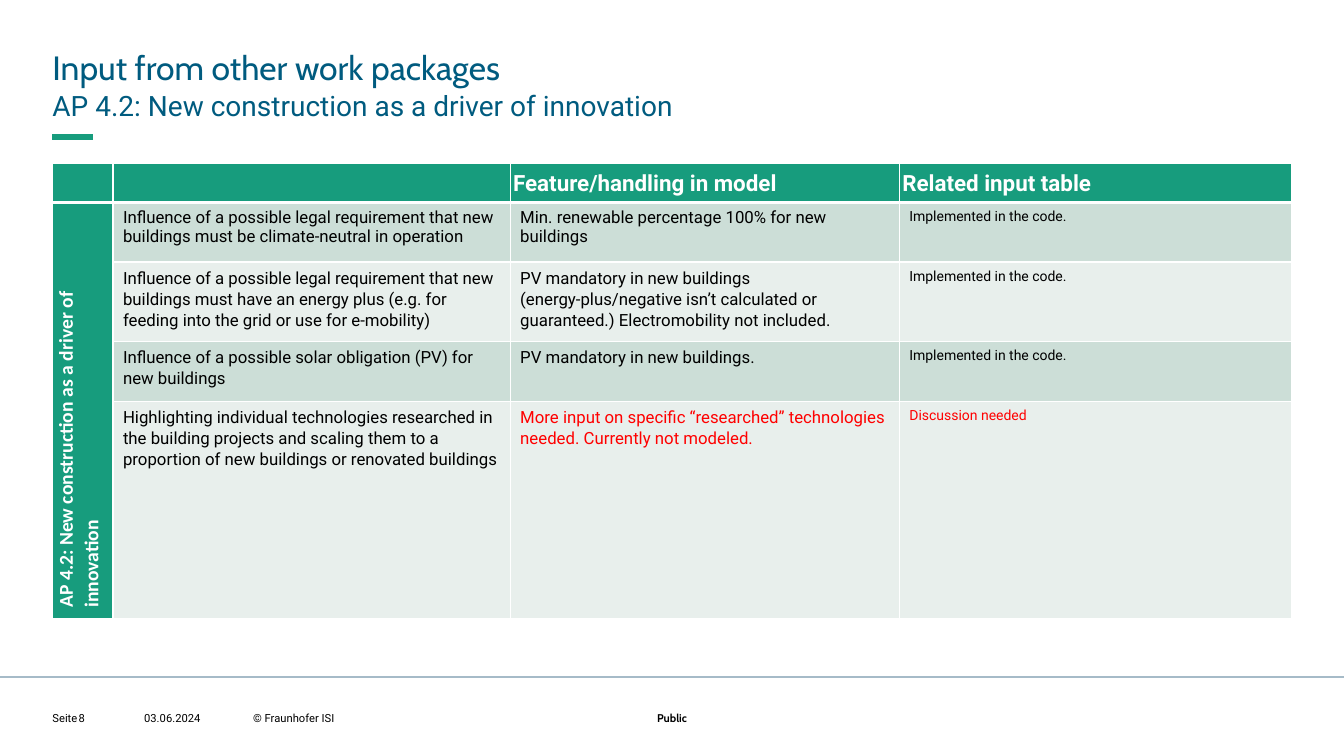
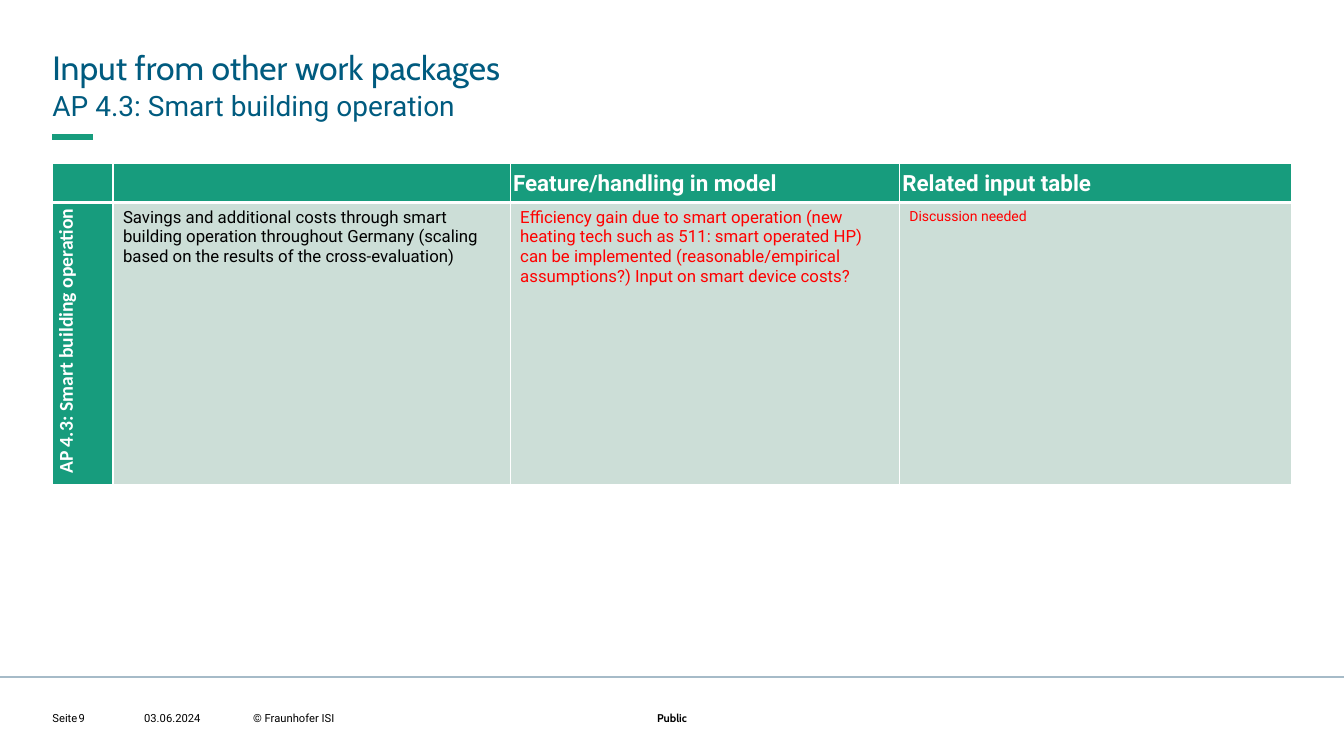
from lxml.etree import SubElement
from pptx import Presentation
from pptx.dml.color import RGBColor
from pptx.enum.shapes import MSO_CONNECTOR
from pptx.enum.text import MSO_ANCHOR, PP_ALIGN
from pptx.oxml.ns import qn
from pptx.util import Inches, Pt

GREEN = RGBColor(0x17, 0x9C, 0x7D)
NAVY = RGBColor(0x00, 0x5B, 0x7F)
STEEL = RGBColor(0xA6, 0xBB, 0xC8)
BAND_DARK = RGBColor(0xCC, 0xDE, 0xD7)
BAND_LIGHT = RGBColor(0xE8, 0xEF, 0xEC)
BLACK = RGBColor(0, 0, 0)
WHITE = RGBColor(0xFF, 0xFF, 0xFF)
RED = RGBColor(0xFF, 0, 0)

HEAD_FONT, BODY_FONT, SIDE_FONT = "Cabin", "Roboto", "Calibri"
SLIDE_W, SLIDE_H = 13.33, 7.5
MARGIN, CONTENT_W = 0.52, 12.28
COLUMNS = [0.6, 3.94, 3.86, 3.89]
HEADER_H = 0.39
HEADINGS = ["", "", "Feature/handling in model", "Related input table"]
TITLE = "Input from other work packages"
DONE = "Implemented in the code."
OPEN = "Discussion needed"

SECTIONS = [
    (8, "AP 4.2: New construction as a driver of innovation", [
        (0.59, BLACK,
         "Influence of a possible legal requirement that new buildings must be "
         "climate-neutral in operation",
         "Min. renewable percentage 100% for new buildings", DONE),
        (0.79, BLACK,
         "Influence of a possible legal requirement that new buildings must have an "
         "energy plus (e.g. for feeding into the grid or use for e-mobility)",
         "PV mandatory in new buildings (energy-plus/negative isn’t calculated or "
         "guaranteed.) Electromobility not included.", DONE),
        (0.59, BLACK,
         "Influence of a possible solar obligation (PV) for new buildings",
         "PV mandatory in new buildings.", DONE),
        (0.98, RED,
         "Highlighting individual technologies researched in the building projects "
         "and scaling them to a proportion of new buildings or renovated buildings",
         "More input on specific “researched” technologies needed. "
         "Currently not modeled.", OPEN),
    ]),
    (9, "AP 4.3: Smart building operation", [
        (2.8, RED,
         "Savings and additional costs through smart building operation throughout "
         "Germany (scaling based on the results of the cross-evaluation)",
         "Efficiency gain due to smart operation (new heating tech such as 511: smart "
         "operated HP) can be implemented (reasonable/empirical assumptions?) "
         "Input on smart device costs?", OPEN),
    ]),
]


def style(p, size, color, name=BODY_FONT, bold=False, spacing=None):
    p.font.size = Pt(size)
    p.font.name = name
    p.font.bold = bold
    p.font.color.rgb = color
    if spacing:
        p.line_spacing = spacing


def add_text(s, box, text, size, color, name=BODY_FONT, bold=False,
             spacing=None, align=PP_ALIGN.LEFT, anchor=MSO_ANCHOR.TOP):
    tf = s.shapes.add_textbox(*map(Inches, box)).text_frame
    tf.margin_left = tf.margin_top = tf.margin_right = tf.margin_bottom = 0
    tf.word_wrap = True
    tf.vertical_anchor = anchor
    p = tf.paragraphs[0]
    p.text = text
    p.alignment = align
    style(p, size, color, name, bold, spacing)


def add_rule(s, left, top, width, color, weight):
    line = s.shapes.add_connector(MSO_CONNECTOR.STRAIGHT, Inches(left), Inches(top),
                                  Inches(left + width), Inches(top))
    line.line.color.rgb = color
    line.line.width = Pt(weight)
    SubElement(line._element.spPr, qn("a:effectLst"))


def add_heading(s, left, top, width, subtitle):
    add_text(s, (left, top, width, 0.42), TITLE, 24, NAVY, HEAD_FONT, spacing=1.1)
    add_text(s, (left, top + 0.42, width, 0.37), subtitle, 20, NAVY, spacing=1.1)
    add_rule(s, left, top + 0.93, 0.4, GREEN, 4)


def add_footer(s, left, top, page):
    add_rule(s, 0, top, SLIDE_W, STEEL, 1.5)
    entries = [(0, 0.25, "Seite"), (0.26, 0.45, str(page)),
               (0.91, 0.94, "03.06.2024"), (1.99, 3.23, "© Fraunhofer ISI")]
    for offset, width, text in entries:
        add_text(s, (left + offset, top + 0.34, width, 0.13), text, 8, BLACK,
                 anchor=MSO_ANCHOR.MIDDLE)
    add_text(s, ((SLIDE_W - 1.58) / 2, top + 0.34, 1.58, 0.13), "Public", 8, BLACK,
             HEAD_FONT, True, align=PP_ALIGN.CENTER)


def set_borders(cell, top, bottom):
    tcPr = cell._tc.get_or_add_tcPr()
    for side, weight in (("L", 1), ("R", 1), ("T", top), ("B", bottom)):
        ln = SubElement(tcPr, qn(f"a:ln{side}"), w=str(Pt(weight)))
        fill = SubElement(ln, qn("a:solidFill"))
        SubElement(fill, qn("a:srgbClr"), val=str(WHITE))


def fill_cell(cell, text, fill, size, color, name=BODY_FONT, bold=False,
              spacing=1.07, tight=False, top=1, bottom=1):
    set_borders(cell, top, bottom)
    cell.fill.solid()
    cell.fill.fore_color.rgb = fill
    if tight:
        cell.margin_left = cell.margin_right = Inches(0.03)
        cell.margin_top = cell.margin_bottom = 0
    p = cell.text_frame.paragraphs[0]
    p.text = text
    style(p, size, color, name, bold, spacing)


def add_package_table(s, left, top, width, label, rows):
    heights = [HEADER_H] + [row[0] for row in rows]
    frame = s.shapes.add_table(len(heights), len(COLUMNS), Inches(left), Inches(top),
                               Inches(width), Inches(sum(heights)))
    table = frame.table
    for column, w in zip(table.columns, COLUMNS):
        column.width = Inches(w)
    for row, h in zip(table.rows, heights):
        row.height = Inches(h)

    for c, text in enumerate(HEADINGS):
        cell = table.cell(0, c)
        fill_cell(cell, text, GREEN, 16, WHITE, bold=True, tight=True, bottom=3)
        cell.vertical_anchor = MSO_ANCHOR.MIDDLE

    for r, (_, color, *texts) in enumerate(rows, 1):
        band = BAND_DARK if r % 2 else BAND_LIGHT
        for c, text in enumerate(texts, 1):
            fill_cell(table.cell(r, c), text, band, 10 if c == 3 else 12,
                      BLACK if c == 1 else color,
                      spacing=1.0 if r == 1 and c < 3 else 1.07,
                      top=3 if r == 1 else 1)

    side = table.cell(1, 0)
    if len(rows) > 1:
        side.merge(table.cell(len(rows), 0))
    fill_cell(side, label, GREEN, 14, WHITE, SIDE_FONT, True, tight=True, top=3)
    side._tc.tcPr.set("vert", "vert270")
    pPr = side.text_frame.paragraphs[0]._p.get_or_add_pPr()
    pPr.set("marL", str(Inches(0.08)))


def add_package_slide(prs, page, name, rows):
    s = prs.slides.add_slide(prs.slide_layouts[6])
    add_heading(s, MARGIN, 0.43, CONTENT_W, name)
    add_package_table(s, MARGIN, 1.62, CONTENT_W, name, rows)
    add_footer(s, MARGIN, 6.72, page)


def main():
    prs = Presentation()
    prs.slide_width = Inches(SLIDE_W)
    prs.slide_height = Inches(SLIDE_H)
    for page, name, rows in SECTIONS:
        add_package_slide(prs, page, name, rows)
    prs.save("out.pptx")


if __name__ == "__main__":
    main()
